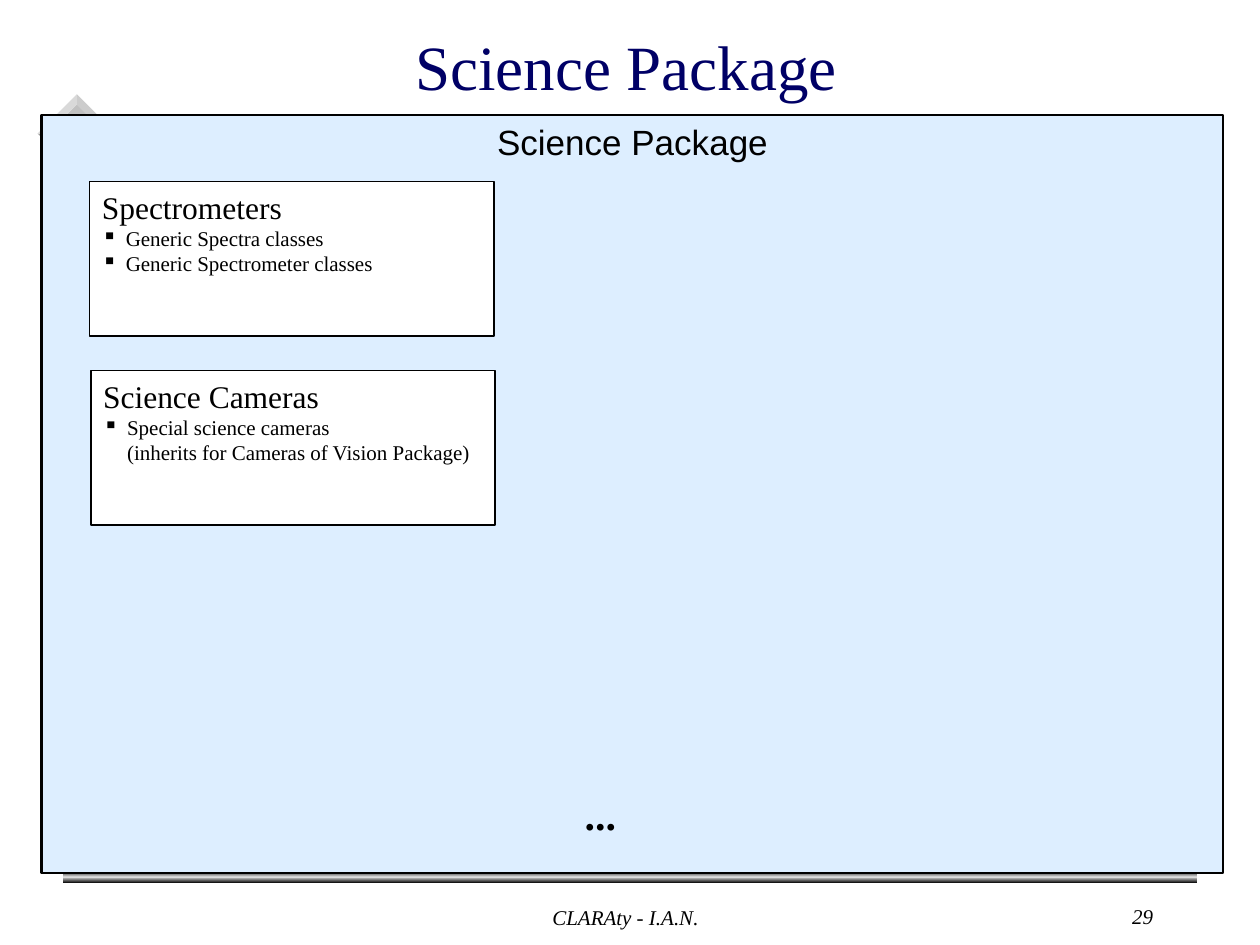
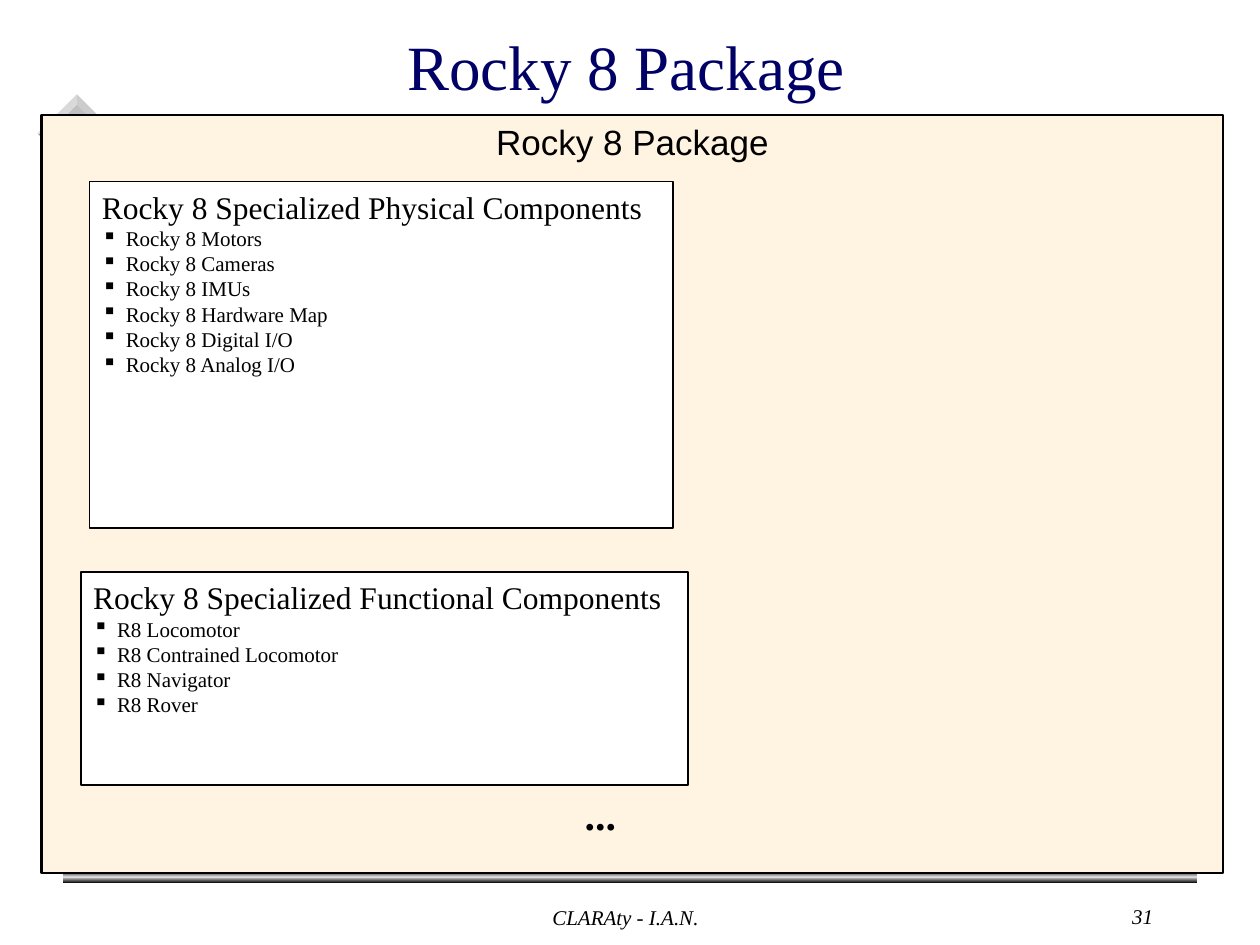
import copy

import pptx
import pptx.dml.color
import pptx.enum.shapes
import pptx.enum.text
import pptx.oxml
import pptx.oxml.ns
import pptx.util

Inches = pptx.util.Inches
Pt = pptx.util.Pt
RGBColor = pptx.dml.color.RGBColor
ALIGN = pptx.enum.text.PP_ALIGN
ANCHOR = pptx.enum.text.MSO_ANCHOR
SHAPE = pptx.enum.shapes.MSO_SHAPE
qn = pptx.oxml.ns.qn

BLACK = RGBColor(0x00, 0x00, 0x00)
WHITE = RGBColor(0xFF, 0xFF, 0xFF)
NAVY = RGBColor(0x00, 0x00, 0x66)
SILVER = RGBColor(0xC0, 0xC0, 0xC0)
SHEEN = RGBColor(0xDD, 0xDD, 0xDD)
PALE_BLUE = RGBColor(0xDD, 0xEE, 0xFF)
CREAM = RGBColor(0xFF, 0xF4, 0xE1)

SERIF = "Times New Roman"
SANS = "Arial"
BULLET_INDENT = Inches(0.19)

# Each group: position and size, heading, bullet entries
SLIDES = [
    ("Science Package", 29, PALE_BLUE, [
        ((0.71, 1.44, 3.21, 1.23), "Spectrometers",
         ["Generic Spectra classes", "Generic Spectrometer classes"]),
        ((0.72, 2.94, 3.21, 1.23), "Science Cameras",
         ["Special science cameras\n(inherits for Cameras of Vision Package)"]),
    ]),
    ("Rocky 8 Package", 31, CREAM, [
        ((0.71, 1.44, 4.63, 2.75), "Rocky 8 Specialized Physical Components",
         ["Rocky 8 Motors", "Rocky 8 Cameras", "Rocky 8 IMUs",
          "Rocky 8 Hardware Map", "Rocky 8 Digital I/O", "Rocky 8 Analog I/O"]),
        ((0.64, 4.54, 4.82, 1.69), "Rocky 8 Specialized Functional Components",
         ["R8 Locomotor", "R8 Contrained Locomotor", "R8 Navigator", "R8 Rover"]),
    ]),
]


class PackageDeck:
    def __init__(self):
        self.deck = pptx.Presentation()
        self.deck.slide_width = Inches(10)
        self.deck.slide_height = Inches(7.5)
        self.slide = None

    def new_slide(self):
        self.slide = self.deck.slides.add_slide(self.deck.slide_layouts[6])

    def add_text(self, paragraph, text, size, font=SERIF, color=BLACK,
                 align=ALIGN.LEFT, bold=False, italic=False):
        paragraph.alignment = align
        for number, line in enumerate(text.split("\n")):
            if number:
                paragraph.add_line_break()
            run = paragraph.add_run()
            run.text = line
            run.font.name = font
            run.font.size = Pt(size)
            run.font.color.rgb = color
            run.font.bold = bold
            run.font.italic = italic

    def label(self, place, text, size, anchor=ANCHOR.TOP, wrap=True, **style):
        box = self.slide.shapes.add_textbox(*map(Inches, place))
        box.text_frame.word_wrap = wrap
        box.text_frame.vertical_anchor = anchor
        self.add_text(box.text_frame.paragraphs[0], text, size, **style)

    def shape(self, place, fill=None, line_width=None, kind=SHAPE.RECTANGLE):
        shape = self.slide.shapes.add_shape(kind, *map(Inches, place))
        shape.shadow.inherit = False
        if fill is not None:
            shape.fill.solid()
            shape.fill.fore_color.rgb = fill
        if line_width:
            shape.line.color.rgb = BLACK
            shape.line.width = Pt(line_width)
        else:
            shape.line.fill.background()
        shape.text_frame.word_wrap = True
        shape.text_frame.vertical_anchor = ANCHOR.TOP
        return shape

    def backdrop(self):
        diamond = self.shape((0.39, 0.84, 0.44, 0.44), SILVER, kind=SHAPE.BEVEL)
        diamond.adjustments[0] = 0.13
        diamond.rotation = 45
        # Metallic band: dark edges with a light middle
        band = self.shape((0.5, 6.91, 9, 0.1))
        band.fill.gradient()
        band.fill.gradient_angle = 90
        stop_list = next(band._element.iter(qn("a:gsLst")))
        stop_list.append(copy.deepcopy(stop_list[0]))
        for stop, position, color in zip(band.fill.gradient_stops, (0, 0.5, 1),
                                         (BLACK, SHEEN, BLACK)):
            stop.position = position
            stop.color.rgb = color

    def title(self, text):
        self.label((1.76, 0.23, 6.42, 0.58), text, 36, anchor=ANCHOR.MIDDLE,
                   color=NAVY, align=ALIGN.CENTER)

    def panel(self, heading, fill):
        panel = self.shape((0.33, 0.91, 9.38, 6.02), fill, 1.25)
        self.add_text(panel.text_frame.paragraphs[0], heading, 20, SANS,
                      align=ALIGN.CENTER)

    def bullet(self, paragraph):
        properties = paragraph._p.get_or_add_pPr()
        properties.set("marL", str(int(BULLET_INDENT)))
        properties.set("indent", str(-int(BULLET_INDENT)))
        namespace = pptx.oxml.ns.nsdecls("a")
        for markup in (f'<a:buClr {namespace}><a:srgbClr val="{BLACK}"/></a:buClr>',
                       f'<a:buChar {namespace} char="▪"/>'):
            properties.append(pptx.oxml.parse_xml(markup))

    def group(self, place, heading, entries):
        frame = self.shape(place, WHITE, 1).text_frame
        self.add_text(frame.paragraphs[0], heading, 18)
        for entry in entries:
            paragraph = frame.add_paragraph()
            self.bullet(paragraph)
            self.add_text(paragraph, entry, 12)

    def ellipsis(self):
        self.label((4.54, 6.21, 0.45, 0.5), "...", 24, wrap=False,
                   align=ALIGN.CENTER, bold=True)

    def footer(self, page):
        self.label((3.38, 7.13, 3.17, 0.2), "CLARAty - I.A.N.", 12,
                   align=ALIGN.CENTER, italic=True)
        self.label((7.17, 7.12, 2.08, 0.22), str(page), 12,
                   align=ALIGN.RIGHT, italic=True)


def main():
    package_deck = PackageDeck()
    for name, page, panel_color, groups in SLIDES:
        package_deck.new_slide()
        package_deck.backdrop()
        package_deck.title(name)
        package_deck.panel(name, panel_color)
        for place, heading, entries in groups:
            package_deck.group(place, heading, entries)
        package_deck.ellipsis()
        package_deck.footer(page)
    package_deck.deck.save("out.pptx")


if __name__ == "__main__":
    main()
